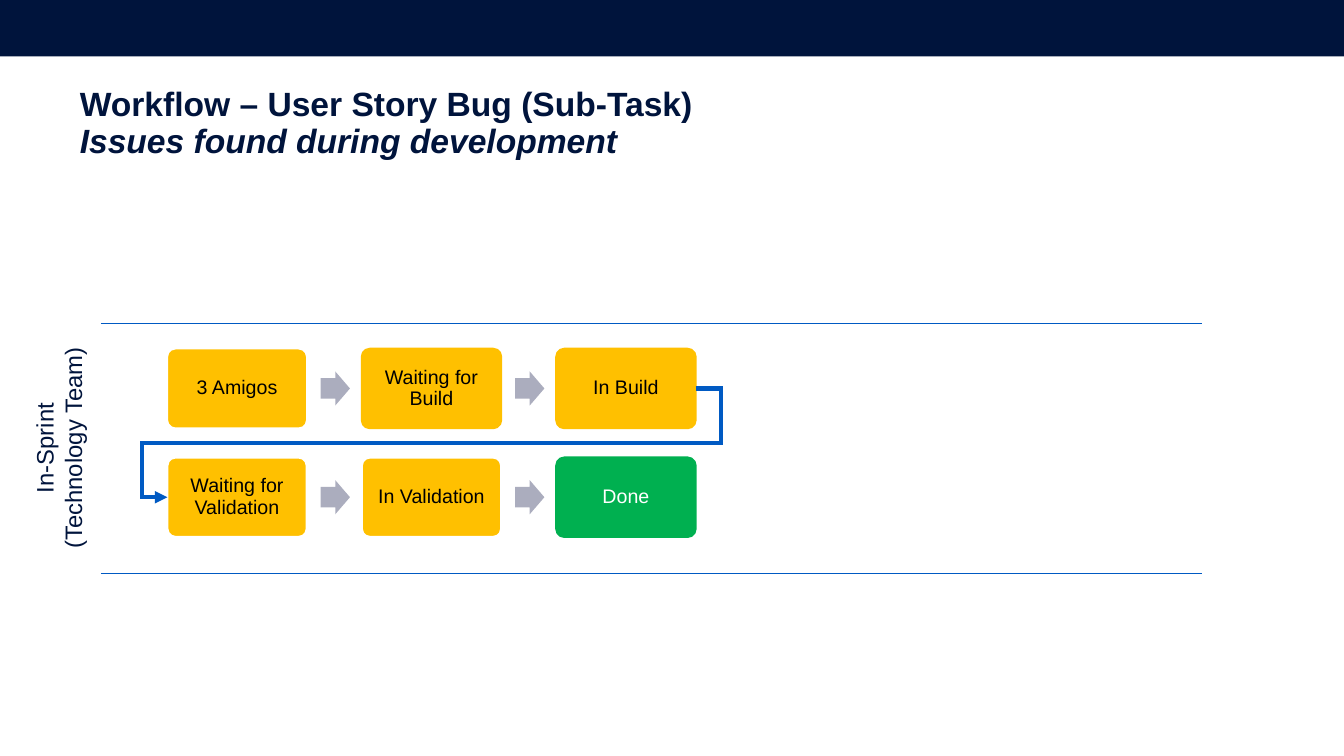
from copy import deepcopy
from dataclasses import dataclass

from lxml import etree
from pptx import Presentation
from pptx.dml.color import RGBColor
from pptx.enum.shapes import MSO_CONNECTOR, MSO_SHAPE
from pptx.enum.text import MSO_ANCHOR, PP_ALIGN
from pptx.oxml.ns import qn
from pptx.shapes.autoshape import Shape
from pptx.shapes.connector import Connector
from pptx.slide import Slide
from pptx.text.text import TextFrame
from pptx.util import Cm, Pt

RECTANGLE = MSO_SHAPE.RECTANGLE
ROUNDED = MSO_SHAPE.ROUNDED_RECTANGLE
RIGHT_ARROW = MSO_SHAPE.RIGHT_ARROW
STRAIGHT, ELBOW = MSO_CONNECTOR.STRAIGHT, MSO_CONNECTOR.ELBOW
LEFT, CENTER = PP_ALIGN.LEFT, PP_ALIGN.CENTER
TOP, MIDDLE = MSO_ANCHOR.TOP, MSO_ANCHOR.MIDDLE
TITLE_ONLY = 5


@dataclass(frozen=True)
class Theme:
    font: str = "Arial"
    navy: str = "00143C"
    blue: str = "005AC3"
    amber: str = "FFC000"
    green: str = "00B050"
    grey: str = "ABADBE"
    white: str = "FFFFFF"
    black: str = "000000"
    title_size: float = 24
    lane_size: float = 17
    step_size: float = 14


THEME = Theme()


@dataclass(frozen=True)
class Step:
    name: str
    border: str
    fill: str = THEME.amber
    color: str = THEME.black
    border_width: float = 1.5


WORKFLOW = [
    [
        Step("3 Amigos", THEME.white, border_width=1),
        Step("Waiting for Build", THEME.amber),
        Step("In Build", THEME.amber),
    ],
    [
        Step("Waiting for Validation", THEME.white),
        Step("In Validation", THEME.white),
        Step("Done", THEME.green, THEME.green, THEME.white),
    ],
]

# All lengths below are in centimetres.
SLIDE_WIDTH, SLIDE_HEIGHT = 33.87, 19.05
LANE_LEFT, LANE_RIGHT = 2.54, 30.3
LANE_EDGES = (8.15, 14.45)
STEP_LEFT, STEP_TOP = 4.22, 8.79
STEP_WIDTH, STEP_HEIGHT = 3.51, 2.0
COLUMN_PITCH, ROW_PITCH = 4.9, 2.74
ARROW_OFFSET, ARROW_WIDTH, ARROW_HEIGHT = 3.86, 0.74, 0.86


def write(frame: TextFrame, text: str, *, size: float, color: str,
          bold: bool = False, italic_lines: tuple[int, ...] = (),
          align: PP_ALIGN = CENTER, anchor: MSO_ANCHOR = TOP,
          spacing: float = 1.0, inset: float = 0, wrap: bool = True) -> None:
    """Fill the frame with one paragraph, breaking it at each newline."""
    frame.word_wrap = wrap
    frame.vertical_anchor = anchor
    frame.margin_left = frame.margin_right = Cm(inset)
    frame.margin_top = frame.margin_bottom = Cm(inset)
    paragraph = frame.paragraphs[0]
    paragraph.alignment = align
    paragraph.line_spacing = spacing
    for number, line in enumerate(text.split("\n")):
        if number:
            paragraph.add_line_break()
            paragraph._p[-1].append(deepcopy(run._r.rPr))
        run = paragraph.add_run()
        run.text = line
        font = run.font
        font.name, font.size = THEME.font, Pt(size)
        font.bold, font.italic = bold, number in italic_lines
        font.color.rgb = RGBColor.from_string(color)


def add_block(slide: Slide, kind: MSO_SHAPE, left: float, top: float,
              width: float, height: float, fill: str,
              adjustments: tuple[float, ...] = ()) -> Shape:
    """Add a filled preset shape without shadow or outline."""
    block = slide.shapes.add_shape(kind, Cm(left), Cm(top), Cm(width), Cm(height))
    block.shadow.inherit = False
    block.fill.solid()
    block.fill.fore_color.rgb = RGBColor.from_string(fill)
    block.line.fill.background()
    for index, value in enumerate(adjustments):
        block.adjustments[index] = value
    return block


def add_line(slide: Slide, kind: MSO_CONNECTOR, start: tuple[float, float],
             end: tuple[float, float], width: float) -> Connector:
    line = slide.shapes.add_connector(kind, *map(Cm, start + end))
    line.line.color.rgb = RGBColor.from_string(THEME.blue)
    line.line.width = Pt(width)
    etree.SubElement(line._element.spPr, qn("a:effectLst"))
    return line


def add_step(slide: Slide, step: Step, left: float, top: float) -> None:
    box = add_block(slide, ROUNDED, left, top, STEP_WIDTH, STEP_HEIGHT,
                    step.fill, (0.1,))
    box.line.color.rgb = RGBColor.from_string(step.border)
    box.line.width = Pt(step.border_width)
    write(box.text_frame, step.name, size=THEME.step_size, color=step.color,
          anchor=MIDDLE, spacing=0.9, inset=0.15)


def add_return_arrow(slide: Slide) -> None:
    """Lead from the end of the first row round to the start of the second."""
    start_x = STEP_LEFT + 2 * COLUMN_PITCH + STEP_WIDTH
    middle_y = STEP_TOP + STEP_HEIGHT / 2
    arrow = add_line(slide, ELBOW, (start_x, middle_y),
                     (STEP_LEFT, middle_y + ROW_PITCH), 3)
    properties = arrow._element.spPr
    geometry = properties.find(qn("a:prstGeom"))
    geometry.set("prst", "bentConnector5")
    guides = geometry.find(qn("a:avLst"))
    for number, value in enumerate((-4800, 50000, 104800), start=1):
        etree.SubElement(guides, qn("a:gd"), name=f"adj{number}", fmla=f"val {value}")
    outline = properties.find(qn("a:ln"))
    etree.SubElement(outline, qn("a:miter"), lim="800000")
    etree.SubElement(outline, qn("a:tailEnd"), type="triangle")


def add_title(slide: Slide) -> None:
    title = slide.shapes.title
    title.left, title.top = Cm(2.01), Cm(2.21)
    title.width, title.height = Cm(27.94), Cm(2.49)
    write(title.text_frame,
          "Workflow – User Story Bug (Sub-Task)\nIssues found during development",
          size=THEME.title_size, color=THEME.navy, bold=True, italic_lines=(1,),
          align=LEFT, spacing=0.9)


def add_lane(slide: Slide) -> None:
    for y in LANE_EDGES:
        add_line(slide, STRAIGHT, (LANE_LEFT, y), (LANE_RIGHT, y), 1)
    label = slide.shapes.add_textbox(Cm(-1.04), Cm(10.39), Cm(5.38), Cm(1.8))
    label.rotation = 270
    write(label.text_frame, "In-Sprint\n(Technology Team)",
          size=THEME.lane_size, color=THEME.navy, wrap=False)


def add_workflow(slide: Slide) -> None:
    for row, steps in enumerate(WORKFLOW):
        top = STEP_TOP + row * ROW_PITCH
        for column, step in enumerate(steps):
            left = STEP_LEFT + column * COLUMN_PITCH
            add_step(slide, step, left, top)
            if column < len(steps) - 1:
                add_block(slide, RIGHT_ARROW, left + ARROW_OFFSET,
                          top + (STEP_HEIGHT - ARROW_HEIGHT) / 2,
                          ARROW_WIDTH, ARROW_HEIGHT, THEME.grey, (0.6, 0.5))
    add_return_arrow(slide)


def main() -> None:
    deck = Presentation()
    deck.slide_width, deck.slide_height = Cm(SLIDE_WIDTH), Cm(SLIDE_HEIGHT)
    slide = deck.slides.add_slide(deck.slide_layouts[TITLE_ONLY])
    add_block(slide, RECTANGLE, 0, 0, SLIDE_WIDTH, 1.42, THEME.navy)
    add_title(slide)
    add_lane(slide)
    add_workflow(slide)
    deck.save("out.pptx")


if __name__ == "__main__":
    main()
